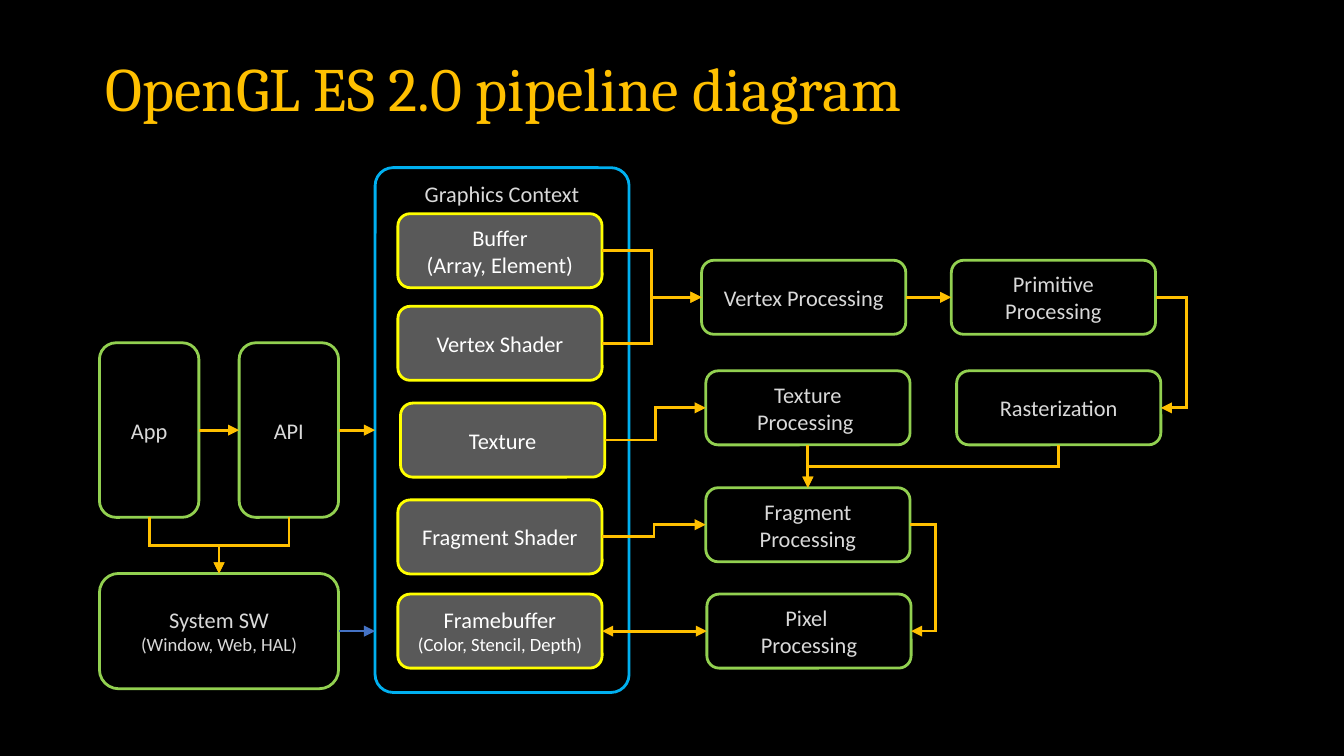
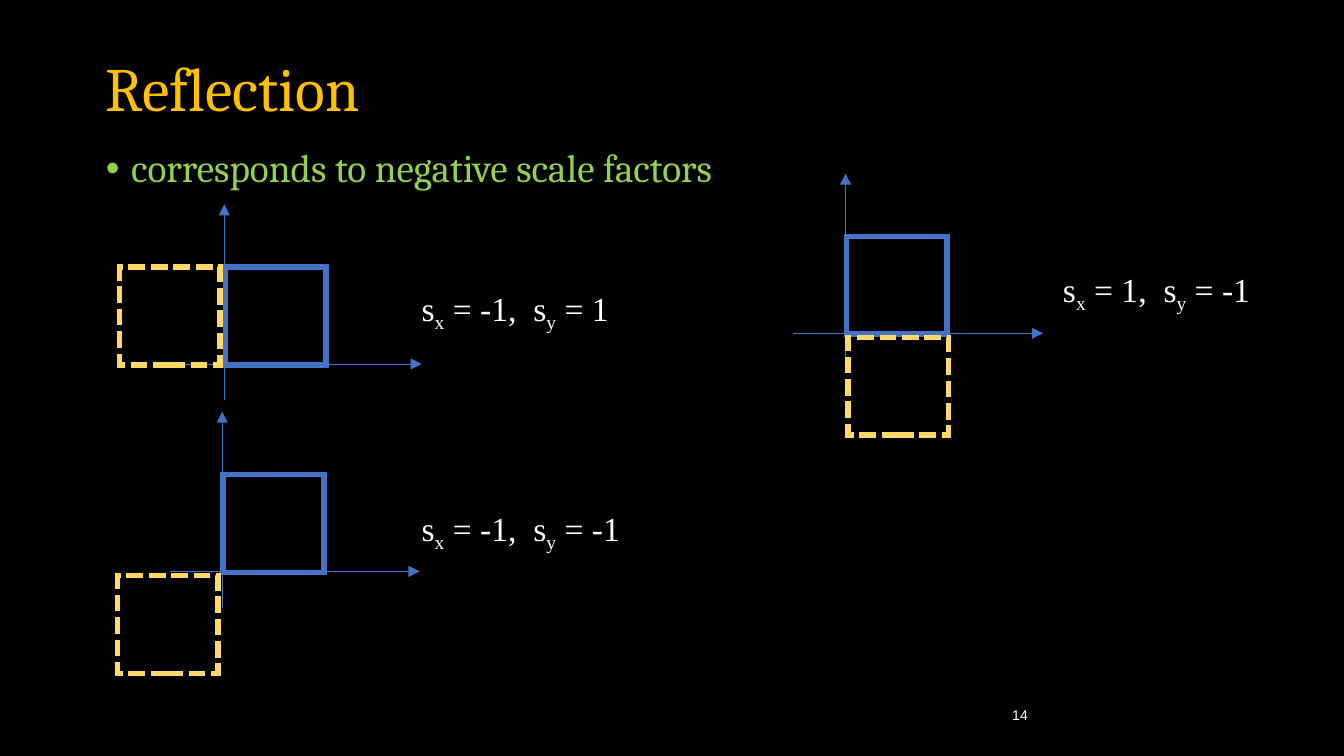
"""Build a pipeline diagram slide and a reflection slide."""
from pptx import Presentation
from pptx.dml.color import RGBColor
from pptx.enum import dml, shapes, text
from pptx.oxml import ns
from pptx.util import Cm, Pt
from lxml import etree

BLACK, WHITE, GOLD, GREEN = "000000", "FFFFFF", "FFC000", "92D050"
BLUE, SKY, YELLOW, SAND = "4472C4", "00B0F0", "FFFF00", "FFD966"
GREY, PALE = "595959", "D9D9D9"
SIZE = 25.4, 14.29
PADS = 0.25, 0.13
TOP, LEFT, BOTTOM, RIGHT = range(4)

LOOKS = {
    "host": (BLACK, GREEN, PALE),
    "state": (GREY, YELLOW, WHITE),
    "frame": (BLACK, SKY, PALE),
}
CELL = 3.86, 1.4
TALL = 1.88, 3.3
BOXES = {
    "app": ("App", "host", (1.88, 6.48), TALL),
    "api": ("API", "host", (4.52, 6.48), TALL),
    "system": ("System SW\n(Window, Web, HAL)", "host", (1.88, 10.84), (4.52, 2.18)),
    "context": ("Graphics Context", "frame", (7.09, 3.17), (4.8, 9.92)),
    "buffer": ("Buffer\v(Array, Element)", "state", (7.52, 4.04), CELL),
    "shader": ("Vertex Shader", "state", (7.52, 5.79), CELL),
    "image": ("Texture", "state", (7.57, 7.62), CELL),
    "shade": ("Fragment Shader", "state", (7.52, 9.45), CELL),
    "target": ("Framebuffer\n(Color, Stencil, Depth)", "state", (7.52, 11.23), CELL),
    "vertex": ("Vertex Processing", "host", (13.26, 4.92), CELL),
    "shape": ("Primitive Processing", "host", (17.98, 4.92), CELL),
    "raster": ("Rasterization", "host", (18.08, 7.01), CELL),
    "texture": ("Texture\nProcessing ", "host", (13.34, 7.01), CELL),
    "fragment": ("Fragment Processing", "host", (13.34, 9.22), CELL),
    "pixel": ("Pixel \nProcessing", "host", (13.36, 11.23), CELL),
}
FLOWS = [
    ("app", "api"), ("api", "context"),
    ("buffer", "vertex"), ("shader", "vertex"), ("vertex", "shape"),
    ("image", "texture"), ("shade", "fragment"),
]
DROPS = [
    ("app", "system"), ("api", "system"),
    ("raster", "fragment"), ("texture", "fragment"),
]
LOOPS = [("shape", "raster", 0.59), ("fragment", "pixel", 0.48)]

GRAPHS = [
    ((4.24, 6.88), (7.72, 5.31), 4.14, (-1, 1)),
    ((4.2, 10.8), (7.72, 9.47), 4.34, (-1, -1)),
    ((15.98, 6.3), (19.84, 4.95), 4.14, (1, -1)),
]
SQUARE = 1.9, 1.85


def tint(code):
    return RGBColor.from_string(code)


def style(run, size, face, color):
    run.font.size, run.font.name = Pt(size), face
    run.font.color.rgb = tint(color)


def inset(frame):
    frame.margin_left = frame.margin_right = Cm(PADS[0])
    frame.margin_top = frame.margin_bottom = Cm(PADS[1])


def stroke(item, color, width, ends=(), dash=None):
    item.line.color.rgb = tint(color)
    item.line.width = Pt(width)
    if dash:
        item.line.dash_style = dash
    line = item.line._ln
    etree.SubElement(line, ns.qn("a:miter"), lim="800000")
    for end in ends:
        etree.SubElement(line, ns.qn("a:" + end), type="triangle")


def label(slide, words, spot, size, font, wrap=True):
    box = slide.shapes.add_textbox(*map(Cm, spot + size))
    frame = box.text_frame
    frame.word_wrap = wrap
    inset(frame)
    frame.text = words
    for run in frame.paragraphs[0].runs:
        style(run, *font)
    return frame


def page(deck, title):
    slide = deck.slides.add_slide(deck.slide_layouts[6])
    fill = slide.background.fill
    fill.solid()
    fill.fore_color.rgb = tint(BLACK)
    frame = label(slide, title, (1.75, 0.76), (21.9, 1.93), (33, "Cambria", GOLD))
    frame.vertical_anchor = text.MSO_ANCHOR.MIDDLE
    frame.paragraphs[0].line_spacing = 0.9
    return slide


def block(slide, words, look, spot, size):
    fill, edge, ink = LOOKS[look]
    kind = shapes.MSO_SHAPE.ROUNDED_RECTANGLE
    item = slide.shapes.add_shape(kind, *map(Cm, spot + size))
    item.shadow.inherit = False
    item.fill.solid()
    item.fill.fore_color.rgb = tint(fill)
    stroke(item, edge, 1.5)
    frame = item.text_frame
    frame.word_wrap = True
    inset(frame)
    frame.vertical_anchor = text.MSO_ANCHOR.MIDDLE
    if look == "frame":
        item.adjustments[0] = 0.071
        frame.vertical_anchor = text.MSO_ANCHOR.TOP
    frame.text = words
    for para in frame.paragraphs:
        para.alignment = text.PP_ALIGN.CENTER
        points = 10 if para.text.startswith("(") else 12
        for run in para.runs:
            style(run, points, "Calibri", ink)
    return item


def wire(slide, kind, start, stop, color, width, ends=("tailEnd",)):
    link = slide.shapes.add_connector(kind, *start, *stop)
    stroke(link, color, width, ends)
    etree.SubElement(link._element.spPr, ns.qn("a:effectLst"))
    return link


def join(slide, first, out, last, into, ends=("tailEnd",)):
    link = wire(slide, shapes.MSO_CONNECTOR.ELBOW, (0, 0), (0, 0), GOLD, 1.5, ends)
    link.begin_connect(first, out)
    link.end_connect(last, into)
    return link


def turn(link):
    wide, high = link.end_x - link.begin_x, link.end_y - link.begin_y
    midx = (link.begin_x + link.end_x) // 2
    midy = (link.begin_y + link.end_y) // 2
    link.left, link.top = midx - high // 2, midy - abs(wide) // 2
    link.width, link.height = high, abs(wide)
    form = link._element.spPr.find(ns.qn("a:xfrm"))
    for flip in ("flipH", "flipV"):
        form.attrib.pop(flip, None)
    if wide < 0:
        form.set("rot", "5400000")
    else:
        form.set("rot", "16200000")
        form.set("flipH", "1")


def bulge(link, reach):
    ratio = round(100000 * Cm(reach) / (link.end_x - link.begin_x))
    guides = link._element.spPr.find(ns.qn("a:prstGeom")).find(ns.qn("a:avLst"))
    etree.SubElement(guides, ns.qn("a:gd"), name="adj1", fmla=f"val {ratio}")


def diagram(deck):
    slide = page(deck, "OpenGL ES 2.0 pipeline diagram")
    items = {name: block(slide, *data) for name, data in BOXES.items()}
    for first, last in FLOWS:
        join(slide, items[first], RIGHT, items[last], LEFT)
    for first, last in DROPS:
        turn(join(slide, items[first], BOTTOM, items[last], TOP))
    for first, last, reach in LOOPS:
        bulge(join(slide, items[first], RIGHT, items[last], RIGHT), reach)
    both = "headEnd", "tailEnd"
    join(slide, items["target"], RIGHT, items["pixel"], LEFT, both)
    host = items["system"]
    level = host.top + host.height // 2
    start, stop = (host.left + host.width, level), (items["context"].left, level)
    link = wire(slide, shapes.MSO_CONNECTOR.ELBOW, start, stop, BLUE, 1.5)
    link.begin_connect(host, RIGHT)


def square(slide, x, y, color, dash=None):
    spot = map(Cm, (x, y) + SQUARE)
    item = slide.shapes.add_shape(shapes.MSO_SHAPE.RECTANGLE, *spot)
    item.shadow.inherit = False
    item.fill.background()
    stroke(item, color, 3, dash=dash)


def formula(slide, spot, width, scale):
    frame = label(slide, "", spot, (width, 1.02), (), False)
    frame.auto_size = text.MSO_AUTO_SIZE.SHAPE_TO_FIT_TEXT
    para = frame.paragraphs[0]
    parts = ["s", "x", f" = {scale[0]},", " ", "s", "y", f" = {scale[1]}"]
    for part in parts:
        run = para.add_run()
        run.text = part
        style(run, 18, "Times New Roman", WHITE)
        if part in ("x", "y"):
            run._r.get_or_add_rPr().set("baseline", "-25000")
        elif part == " ":
            run._r.get_or_add_rPr().set("spc", "450")


def graph(slide, origin, spot, width, scale):
    x, y = origin
    axes = [((x, y + 0.69), (x, y - 3.02)), ((x - 0.99, y), (x + 3.73, y))]
    for start, stop in axes:
        ends = [tuple(map(Cm, point)) for point in (start, stop)]
        wire(slide, shapes.MSO_CONNECTOR.STRAIGHT, *ends, BLUE, 0.5)
    square(slide, x + 0.02, y - 1.83, BLUE)
    across = -1.98 if scale[0] < 0 else 0.05
    down = 0.08 if scale[1] < 0 else -1.83
    square(slide, x + across, y + down, SAND, dml.MSO_LINE.SQUARE_DOT)
    formula(slide, spot, width, scale)


def mirror(deck):
    slide = page(deck, "Reflection")
    words = "corresponds to negative scale factors"
    frame = label(slide, words, (1.75, 2.69), (21.9, 9.53), (21, "Cambria", GREEN))
    para = frame.paragraphs[0]
    para.line_spacing, para.space_before = 0.9, Pt(7.5)
    props = para._p.get_or_add_pPr()
    props.set("marL", str(Cm(0.48)))
    props.set("indent", str(-Cm(0.48)))
    etree.SubElement(props, ns.qn("a:buFont"), typeface="Arial")
    etree.SubElement(props, ns.qn("a:buChar"), char="\u2022")
    frame = label(slide, "14", (17.93, 13.23), (5.72, 0.76), (7.5, "Arial", WHITE))
    frame.paragraphs[0]._p.get_or_add_pPr().set("marL", str(Cm(0.95)))
    for data in GRAPHS:
        graph(slide, *data)


deck = Presentation()
deck.slide_width, deck.slide_height = map(Cm, SIZE)
diagram(deck)
mirror(deck)
deck.save("out.pptx")
